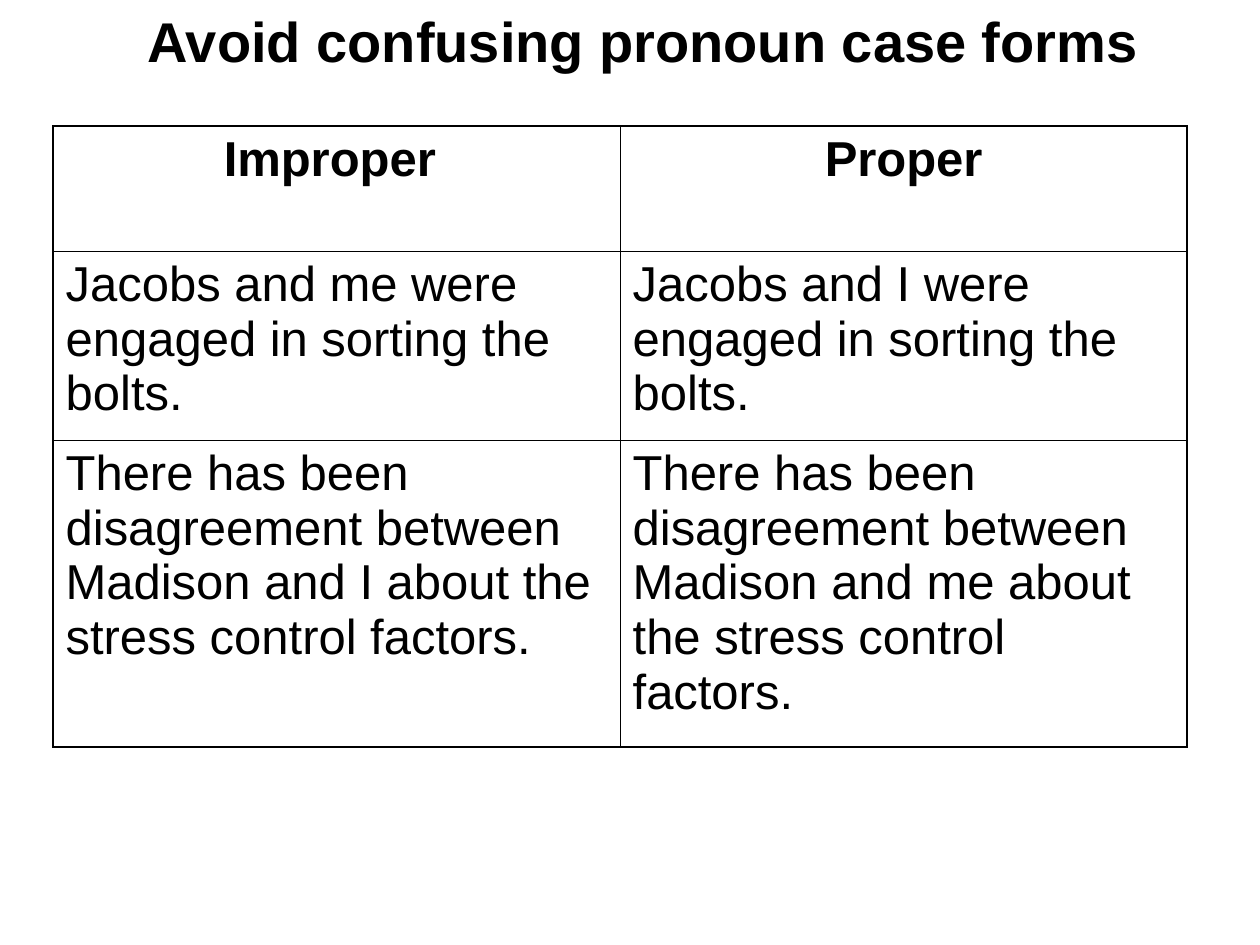
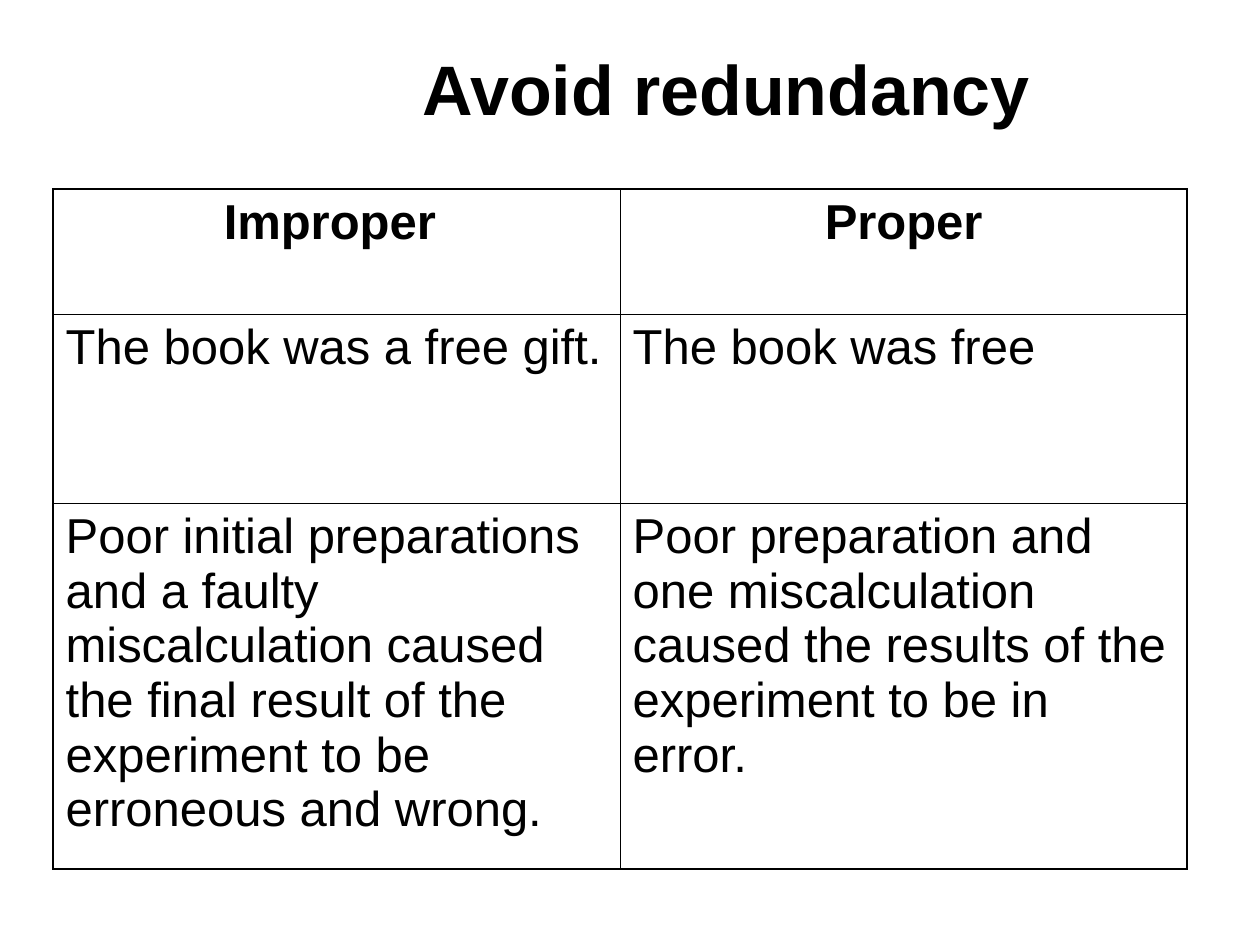
from dataclasses import dataclass

from lxml.etree import SubElement
from pptx import Presentation
from pptx.dml.color import RGBColor
from pptx.enum.text import MSO_ANCHOR as Anchor, MSO_AUTO_SIZE as AutoSize, PP_ALIGN as Align
from pptx.oxml.ns import qn
from pptx.slide import Slide
from pptx.table import _Cell as Cell
from pptx.text.text import _Paragraph as Paragraph
from pptx.util import Cm, Length, Pt


@dataclass(frozen=True)
class Theme:
    font: str = "Arial"
    ink: str = "000000"
    paper: str = "FFFFFF"
    table_size: Length = Pt(28)
    space_before: Length = Pt(7)
    outer_line: Length = Pt(1.08)
    inner_line: Length = Pt(0.45)


@dataclass(frozen=True)
class Heading:
    text: str
    size: Length
    left: Length
    top: Length
    width: Length
    height: Length


@dataclass(frozen=True)
class Comparison:
    heading: Heading
    table_top: Length
    last_row_height: Length
    examples: tuple[tuple[str, str], ...]


THEME = Theme()

# Table geometry and header shared by both slides
TABLE_LEFT, COLUMN_WIDTH = Cm(1.07), Cm(11.43)
HEADER_HEIGHT, EXAMPLE_HEIGHT = Cm(2.52), Cm(3.81)
COLUMN_HEADS = ("Improper ", "Proper")

COMPARISONS = (
    Comparison(
        Heading("Avoid confusing pronoun case forms", Pt(32),
                Cm(2.72), Cm(0), Cm(20.52), Cm(2.97)),
        table_top=Cm(2.54),
        last_row_height=Cm(6.19),
        examples=(
            ("Jacobs and me were engaged in sorting the bolts.",
             "Jacobs and I were engaged in sorting the bolts."),
            ("There has been disagreement between Madison and I about the "
             "stress control factors.",
             "There has been disagreement between Madison and me about the "
             "stress control factors."),
        ),
    ),
    Comparison(
        Heading("Avoid redundancy", Pt(40),
                Cm(8.26), Cm(0.8), Cm(12.8), Cm(3.66)),
        table_top=Cm(3.81),
        last_row_height=Cm(7.38),
        examples=(
            ("The book was a free gift.", "The book was free"),
            ("Poor initial preparations and a faulty miscalculation caused the "
             "final result of the experiment to be erroneous and wrong.",
             "Poor preparation and one miscalculation caused the results of the "
             "experiment to be in error."),
        ),
    ),
)


def style(paragraph: Paragraph, size: Length, bold: bool, align: Align) -> None:
    paragraph.alignment = align
    font = paragraph.font
    font.name, font.size, font.bold = THEME.font, size, bold
    font.color.rgb = RGBColor.from_string(THEME.ink)


def draw_heading(slide: Slide, heading: Heading) -> None:
    title = slide.shapes.title
    title.left, title.top = heading.left, heading.top
    title.width, title.height = heading.width, heading.height
    frame = title.text_frame
    frame.text = heading.text
    frame.auto_size = AutoSize.NONE
    frame.word_wrap = False
    frame.vertical_anchor = Anchor.TOP
    style(frame.paragraphs[0], heading.size, True, Align.LEFT)


def draw_borders(cell: Cell, outer_sides: dict[str, bool]) -> None:
    properties = cell._tc.get_or_add_tcPr()
    for side, is_outer in outer_sides.items():
        width = THEME.outer_line if is_outer else THEME.inner_line
        line = SubElement(properties, qn(f"a:ln{side}"), w=str(int(width)))
        fill = SubElement(line, qn("a:solidFill"))
        SubElement(fill, qn("a:srgbClr"), val=THEME.ink)


def draw_table(slide: Slide, comparison: Comparison) -> None:
    rows = (COLUMN_HEADS, *comparison.examples)
    heights = (HEADER_HEIGHT, EXAMPLE_HEIGHT, comparison.last_row_height)
    last_row, last_column = len(rows) - 1, len(COLUMN_HEADS) - 1
    table = slide.shapes.add_table(
        len(rows), len(COLUMN_HEADS), TABLE_LEFT, comparison.table_top,
        COLUMN_WIDTH * len(COLUMN_HEADS), sum(heights)).table
    table.first_row = table.horz_banding = False
    for column in table.columns:
        column.width = COLUMN_WIDTH

    for r, (sentences, height) in enumerate(zip(rows, heights)):
        table.rows[r].height = height
        is_header = r == 0
        for c, sentence in enumerate(sentences):
            cell = table.cell(r, c)
            cell.text = sentence
            paragraph = cell.text_frame.paragraphs[0]
            paragraph.space_before = THEME.space_before
            style(paragraph, THEME.table_size, is_header,
                  Align.CENTER if is_header else Align.LEFT)
            draw_borders(cell, {"L": c == 0, "R": c == last_column,
                                "T": is_header, "B": r == last_row})
            cell.fill.background()


def main() -> None:
    deck = Presentation()
    deck.slide_width, deck.slide_height = Cm(25.4), Cm(19.05)
    title_only = deck.slide_layouts.get_by_name("Title Only")
    for comparison in COMPARISONS:
        slide = deck.slides.add_slide(title_only)
        backdrop = slide.background.fill
        backdrop.solid()
        backdrop.fore_color.rgb = RGBColor.from_string(THEME.paper)
        draw_heading(slide, comparison.heading)
        draw_table(slide, comparison)
    deck.save("out.pptx")


if __name__ == "__main__":
    main()
